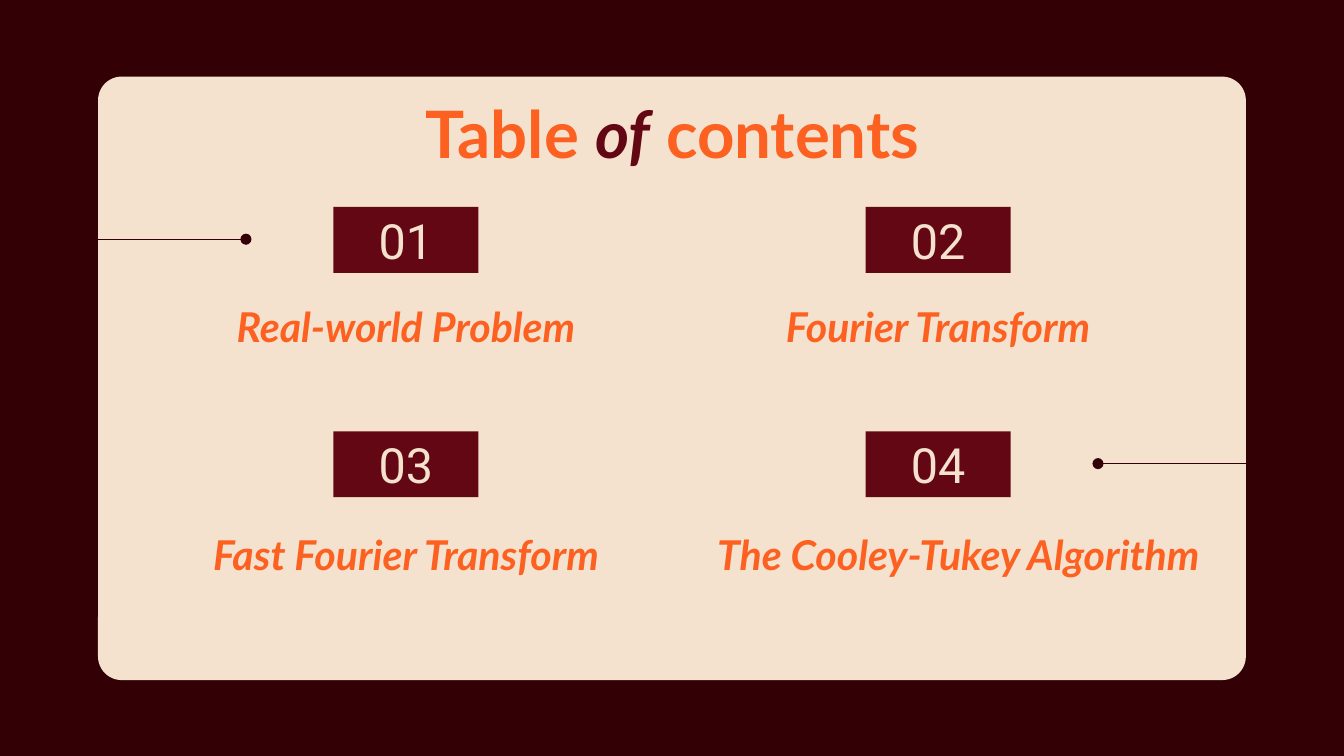
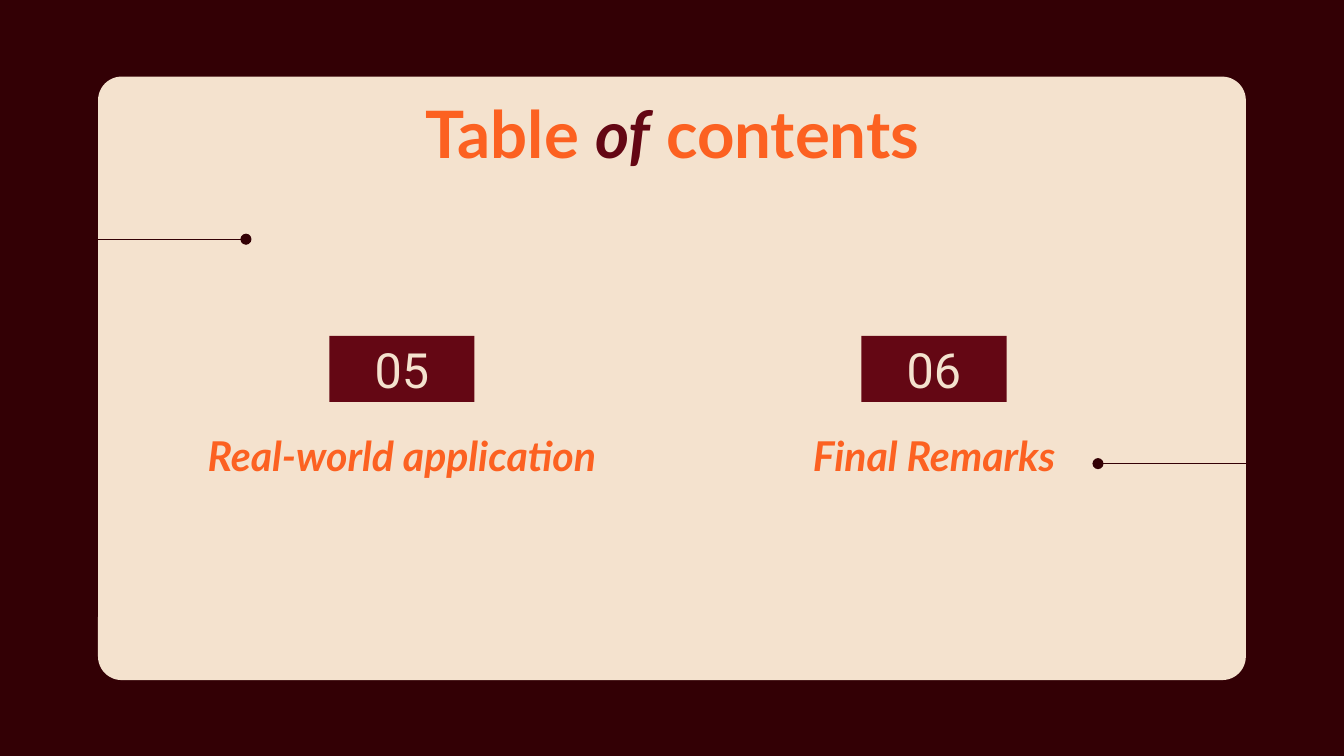
from lxml import etree
from pptx import Presentation
from pptx.dml.color import RGBColor
from pptx.enum.shapes import MSO_CONNECTOR, MSO_SHAPE
from pptx.enum.text import MSO_ANCHOR, PP_ALIGN
from pptx.oxml.ns import qn
from pptx.util import Inches, Pt

RECT = MSO_SHAPE.RECTANGLE
ROUND = MSO_SHAPE.ROUNDED_RECTANGLE
LINE = MSO_CONNECTOR.STRAIGHT
TOP, MIDDLE, BOTTOM = MSO_ANCHOR.TOP, MSO_ANCHOR.MIDDLE, MSO_ANCHOR.BOTTOM
CENTER = PP_ALIGN.CENTER

COLORS = {"dark": "330005", "cream": "F4E2CE", "orange": "FC6121", "wine": "640714"}
CARD = (0.73, 0.57, 8.54, 4.49)
BADGE = (1.08, 0.49)
LABEL = (3.38, 0.43)
STEP = 3.96


def color(name):
    return RGBColor.from_string(COLORS[name])


def write(shape, runs, font="Lato", size=22, bold=False, anchor=MIDDLE):
    frame = shape.text_frame
    frame.word_wrap = True
    frame.vertical_anchor = anchor
    frame.margin_left = frame.margin_right = Inches(0.1)
    frame.margin_top = frame.margin_bottom = Inches(0.1)
    para = frame.paragraphs[0]
    para.alignment = CENTER
    for text, hue, slant in runs:
        run = para.add_run()
        run.text = text
        run.font.name = font
        run.font.size = Pt(size)
        run.font.bold = bold
        run.font.italic = slant
        run.font.color.rgb = color(hue)


def block(slide, kind, box, hue):
    shape = slide.shapes.add_shape(kind, *map(Inches, box))
    shape.shadow.inherit = False
    shape.fill.solid()
    shape.fill.fore_color.rgb = color(hue)
    shape.line.fill.background()
    return shape


def rule(slide, left, top, width):
    line = slide.shapes.add_connector(
        LINE, Inches(left), Inches(top), Inches(left + width), Inches(top))
    line.line.color.rgb = color("dark")
    line.line.width = Pt(0.75)
    props = line.line._get_or_add_ln()
    for end in ("a:headEnd", "a:tailEnd"):
        etree.SubElement(props, qn(end), type="oval")
    etree.SubElement(line._element.spPr, qn("a:effectLst"))


def base(deck, box):
    left, top, width, height = box
    slide = deck.slides.add_slide(deck.slide_layouts[6])
    slide.background.fill.solid()
    slide.background.fill.fore_color.rgb = color("dark")
    card = block(slide, ROUND, box, "cream")
    card.adjustments[0] = 0.039
    title = slide.shapes.add_textbox(
        Inches(left + 0.06), Inches(top + 0.02), Inches(width - 0.11), Inches(0.63))
    write(title, [("Table ", "orange", False), ("of", "wine", True),
                  (" contents", "orange", False)], size=35, bold=True, anchor=TOP)
    rule(slide, left - 0.5, top + 1.21, 1.6)
    rule(slide, left + width - 1.1, top + 2.88, 1.6)
    return slide


def entry(slide, left, top, number, label, drop, shift=0, extra=0):
    badge = block(slide, RECT, (left, top, *BADGE), "wine")
    write(badge, [(f"{number:02}", "cream", False)], font="Roboto", size=26)
    width = LABEL[0] + extra
    start = left + (BADGE[0] - width) / 2 + shift
    box = slide.shapes.add_textbox(
        Inches(start), Inches(top + drop), Inches(width), Inches(LABEL[1]))
    write(box, [(label, "orange", True)], bold=True, anchor=BOTTOM)


def row(slide, left, top, first, labels, drop=0.74, **last):
    for i, label in enumerate(labels):
        fit = last if i == len(labels) - 1 else {}
        entry(slide, left + i * STEP, top, first + i, label, drop, **fit)


def main():
    deck = Presentation()
    deck.slide_width = Inches(10)
    deck.slide_height = deck.slide_width * 9 // 16

    slide = base(deck, CARD)
    row(slide, 2.48, 1.54, 1, ["Real-world Problem", "Fourier Transform"])
    row(slide, 2.48, 3.21, 3,
        ["Fast Fourier Transform", "The Cooley-Tukey Algorithm"],
        drop=0.77, shift=0.15, extra=0.54)

    slide = base(deck, CARD)
    row(slide, 2.45, 2.5, 5, ["Real-world application", "Final Remarks"])

    deck.save("out.pptx")


if __name__ == "__main__":
    main()
